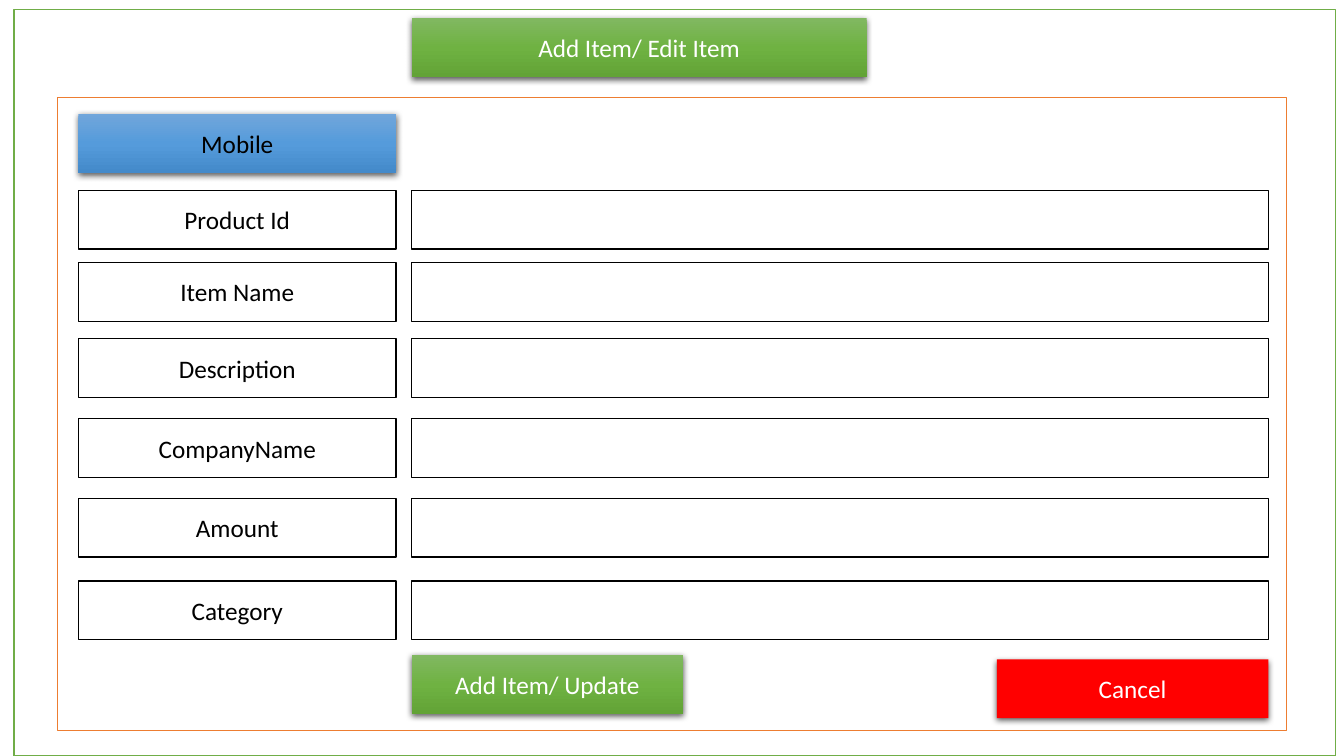
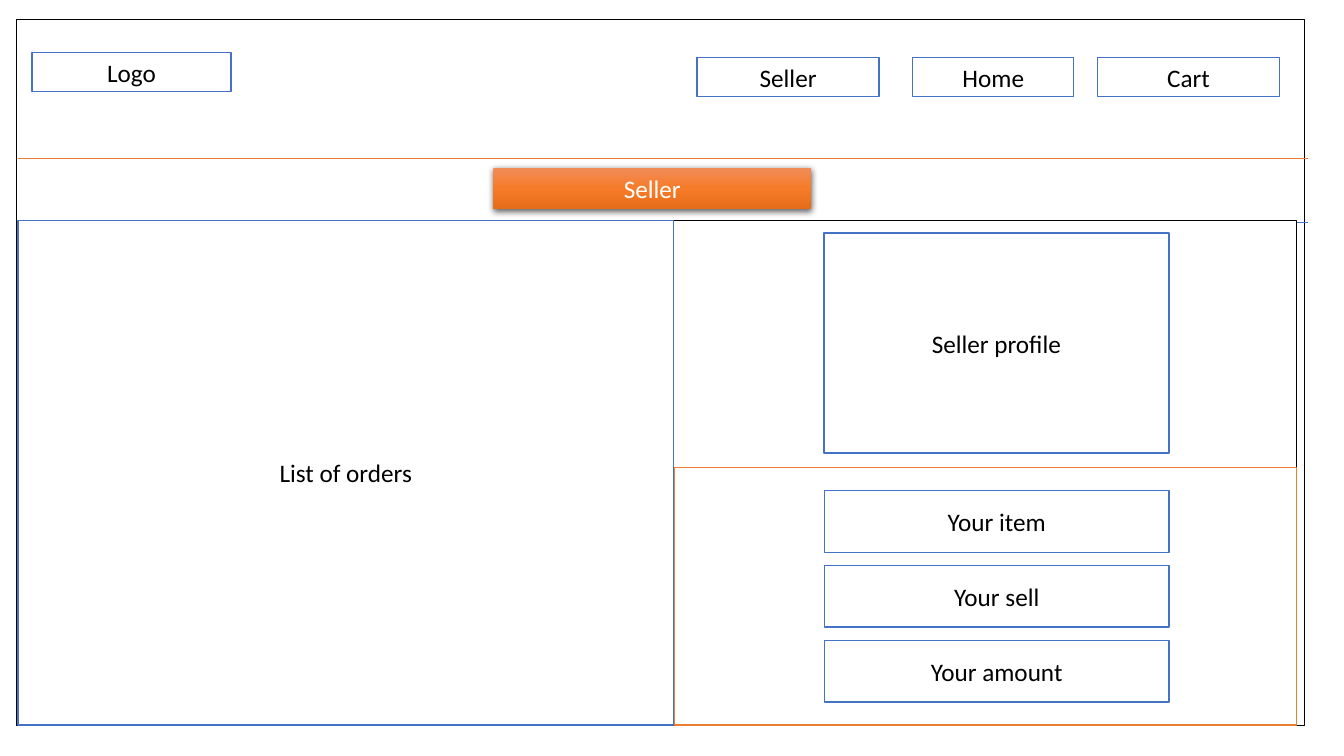
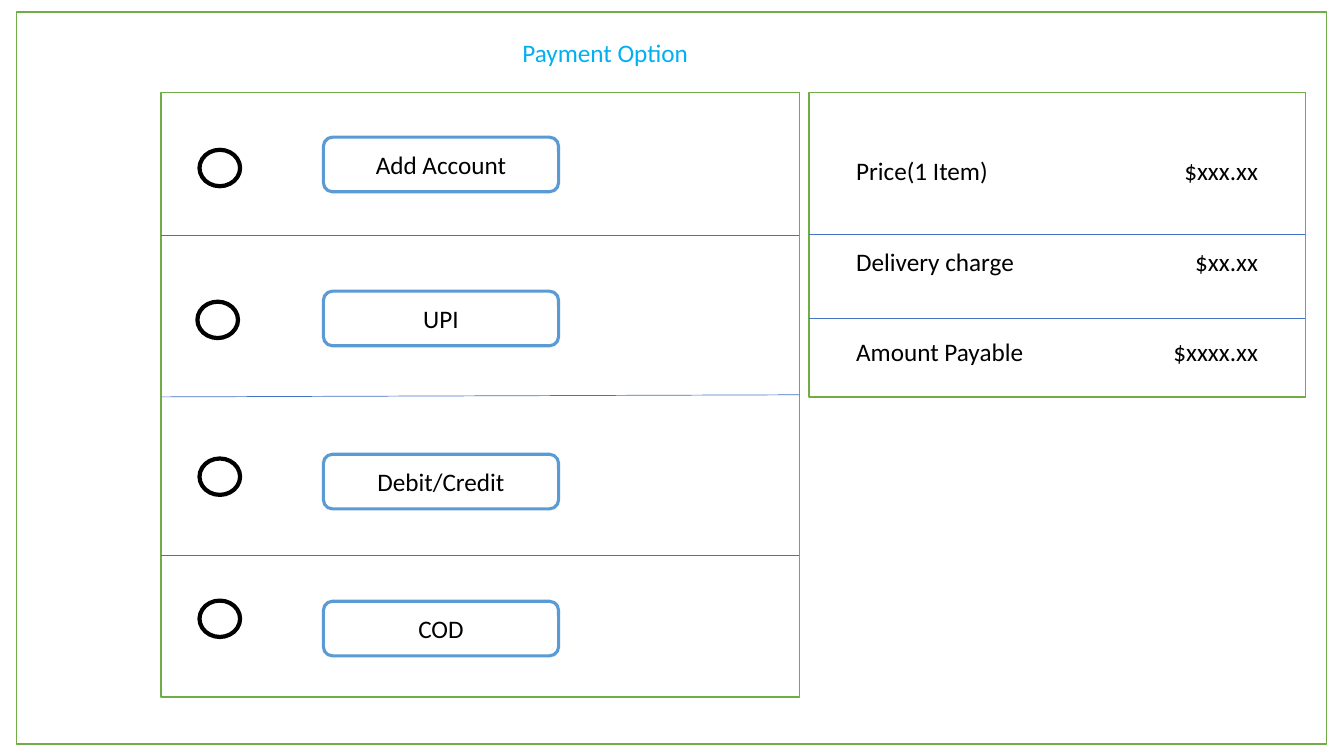
from copy import deepcopy

from lxml import etree
from pptx import Presentation
from pptx.dml.color import RGBColor
from pptx.enum.shapes import MSO_CONNECTOR, MSO_SHAPE
from pptx.enum.text import MSO_ANCHOR, MSO_AUTO_SIZE, PP_ALIGN
from pptx.oxml.ns import qn
from pptx.util import Pt

RECTANGLE = MSO_SHAPE.RECTANGLE
ROUNDED = MSO_SHAPE.ROUNDED_RECTANGLE
PROCESS = MSO_SHAPE.FLOWCHART_PROCESS
CIRCLE = MSO_SHAPE.FLOWCHART_CONNECTOR
STRAIGHT = MSO_CONNECTOR.STRAIGHT
CENTER = PP_ALIGN.CENTER
MIDDLE = MSO_ANCHOR.MIDDLE
GROW = MSO_AUTO_SIZE.SHAPE_TO_FIT_TEXT

FONT = "Calibri"
FONT_SIZE = 18
COLORS = {
    "white": "FFFFFF",
    "black": "000000",
    "green": "70AD47",
    "orange": "ED7D31",
    "blue": "4472C4",
    "light_blue": "5B9BD5",
    "red": "FF0000",
    "title": "00B0F0",
    "title_outline": "0070C0",
}
GRADIENTS = {
    "green": ("81B861", "6FB242", "62A336"),
    "blue": ("71A6DB", "559BDB", "448ACA"),
    "orange": ("F18C57", "F67B28", "E56C19"),
}


def rgb(name):
    return RGBColor.from_string(COLORS[name])


def format_runs(paragraph, color):
    for run in paragraph.runs:
        run.font.name = FONT
        run.font.size = Pt(FONT_SIZE)
        run.font.color.rgb = rgb(color)


def add_shape(slide, kind, bounds, text, color):
    shape = slide.shapes.add_shape(kind, *map(Pt, bounds))
    shape.shadow.inherit = False
    if text:
        text_frame = shape.text_frame
        text_frame.text = text
        text_frame.vertical_anchor = MIDDLE
        paragraph = text_frame.paragraphs[0]
        paragraph.alignment = CENTER
        format_runs(paragraph, color)
    return shape


def add_box(slide, bounds, line, text="", kind=RECTANGLE, width=1, filled=True):
    shape = add_shape(slide, kind, bounds, text, "black")
    if filled:
        shape.fill.solid()
        shape.fill.fore_color.rgb = rgb("white")
    else:
        shape.fill.background()
    shape.line.color.rgb = rgb(line)
    shape.line.width = Pt(width)


def fill_gradient(shape, stops):
    shape.fill.gradient()
    shape.fill.gradient_angle = 270
    first = shape._element.spPr.find(qn("a:gradFill")).find(qn("a:gsLst"))[0]
    first.addnext(deepcopy(first))
    for index, stop in enumerate(shape.fill.gradient_stops):
        stop.position = index / 2
        stop.color.rgb = RGBColor.from_string(stops[index])


def add_shadow(shape):
    effects = shape._element.spPr.find(qn("a:effectLst"))
    shadow = etree.SubElement(
        effects, qn("a:outerShdw"), blurRad=str(Pt(4.5)), dist=str(Pt(1.5)),
        dir="5400000", algn="ctr", rotWithShape="0")
    color = etree.SubElement(shadow, qn("a:srgbClr"), val=COLORS["black"])
    etree.SubElement(color, qn("a:alpha"), val="63000")


def add_button(slide, bounds, text, fill, color="white"):
    shape = add_shape(slide, RECTANGLE, bounds, text, color)
    if fill in GRADIENTS:
        fill_gradient(shape, GRADIENTS[fill])
    else:
        shape.fill.solid()
        shape.fill.fore_color.rgb = rgb(fill)
    shape.line.fill.background()
    add_shadow(shape)


def add_rule(slide, left, top, right, bottom, color="blue"):
    connector = slide.shapes.add_connector(
        STRAIGHT, Pt(left), Pt(top), Pt(right), Pt(bottom))
    connector.line.color.rgb = rgb(color)
    connector.line.width = Pt(0.5)
    etree.SubElement(connector._element.spPr, qn("a:effectLst"))


def add_text_frame(slide, bounds):
    text_frame = slide.shapes.add_textbox(*map(Pt, bounds)).text_frame
    text_frame.word_wrap = True
    text_frame.auto_size = GROW
    return text_frame


def add_title(slide, bounds, text):
    text_frame = add_text_frame(slide, bounds)
    text_frame.text = text
    paragraph = text_frame.paragraphs[0]
    format_runs(paragraph, "title")
    outline = etree.Element(qn("a:ln"), w=str(Pt(0.75)))
    fill = etree.SubElement(outline, qn("a:solidFill"))
    etree.SubElement(fill, qn("a:srgbClr"), val=COLORS["title_outline"])
    paragraph.runs[0]._r.get_or_add_rPr().insert(0, outline)


def add_price_list(slide, bounds, prices, tab, gap):
    text_frame = add_text_frame(slide, bounds)
    text_frame.text = "\n".join(f"{label}\t{price}" for label, price in prices)
    for index, paragraph in enumerate(text_frame.paragraphs):
        tabs = etree.SubElement(paragraph._p.get_or_add_pPr(), qn("a:tabLst"))
        etree.SubElement(tabs, qn("a:tab"), pos=str(Pt(tab)), algn="r")
        if index:
            paragraph.space_before = Pt(gap)
        format_runs(paragraph, "black")


def build_item_form(slide):
    label_left, label_width = 56, 227
    field_left, field_width = 294, 612
    height = 42
    add_box(slide, (10, 7, 944, 533), "green")
    add_button(slide, (field_left, 13, 325, height), "Add Item/ Edit Item", "green")
    add_box(slide, (41, 69.5, 878, 452.5), "orange")
    add_button(slide, (label_left, 81.5, label_width, height), "Mobile", "blue", "black")
    fields = [("Product Id", 136), ("Item Name", 187.5), ("Description", 242),
              ("CompanyName", 299), ("Amount", 356), ("Category", 415)]
    for label, top in fields:
        add_box(slide, (label_left, top, label_width, height), "black", label)
        add_box(slide, (field_left, top, field_width, height), "black")
    add_button(slide, (field_left, 468, 194, height), "Add Item/ Update", "green")
    add_button(slide, (712, 471, 194, height), "Cancel", "red")


def build_seller_page(slide):
    add_box(slide, (11.5, 14, 920, 504), "black", width=0.75, filled=False)
    add_box(slide, (23, 37.5, 142, 28), "blue", "Logo")
    for text, left, width in [("Seller", 498, 130), ("Home", 652, 115), ("Cart", 784, 130)]:
        add_box(slide, (left, 41, width, 28), "blue", text)
    add_rule(slide, 13, 113, 934, 113, "orange")
    add_button(slide, (352.5, 120, 227, 29.5), "Seller", "orange")
    add_rule(slide, 13, 158.5, 934, 158.5)
    add_box(slide, (13, 157.5, 913, 177), "black")
    add_box(slide, (482, 334, 444, 184), "orange")
    add_box(slide, (13, 157.5, 468, 360.5), "blue", "List of orders")
    add_box(slide, (588.5, 166.5, 246.5, 157), "blue", "Seller profile")
    for index, text in enumerate(["Your item", "Your sell", "Your amount"]):
        add_box(slide, (589, 350.5 + 53.5 * index, 246, 44), "blue", text)


def build_payment_page(slide):
    add_box(slide, (12, 8.5, 935.5, 523), "green")
    add_box(slide, (115, 66, 456, 432), "green", kind=PROCESS)
    for start, end in [(168, 168), (283.5, 282), (396.5, 396.5)]:
        add_rule(slide, 115, start, 571, end)
    options = [("Add Account", 142.5, 107, 98), ("UPI", 141, 215.5, 208),
               ("Debit/Credit", 142.5, 327.5, 324.5), ("COD", 142.5, 429, 429.5)]
    for text, circle_left, circle_top, label_top in options:
        add_box(slide, (circle_left, circle_top, 29, 26), "black", kind=CIRCLE, width=3)
        add_box(slide, (231, label_top, 168, 39), "light_blue", text, ROUNDED, 2.25)
    add_title(slide, (366, 23, 228, 29), "Payment Option")
    add_box(slide, (578, 66, 354.5, 217.5), "green", kind=PROCESS)
    prices = [("Price(1 Item)", "$xxx.xx"), ("Delivery charge", "$xx.xx"),
              ("Amount Payable", "$xxxx.xx")]
    add_price_list(slide, (604.5, 107.5, 310, 160), prices, tab=287, gap=43)
    for top in (167.5, 227.5):
        add_rule(slide, 578, top, 932.5, top)


def main():
    presentation = Presentation()
    presentation.slide_width = Pt(960)
    presentation.slide_height = Pt(540)
    blank = presentation.slide_layouts[6]
    for build in (build_item_form, build_seller_page, build_payment_page):
        build(presentation.slides.add_slide(blank))
    presentation.save("out.pptx")


if __name__ == "__main__":
    main()
